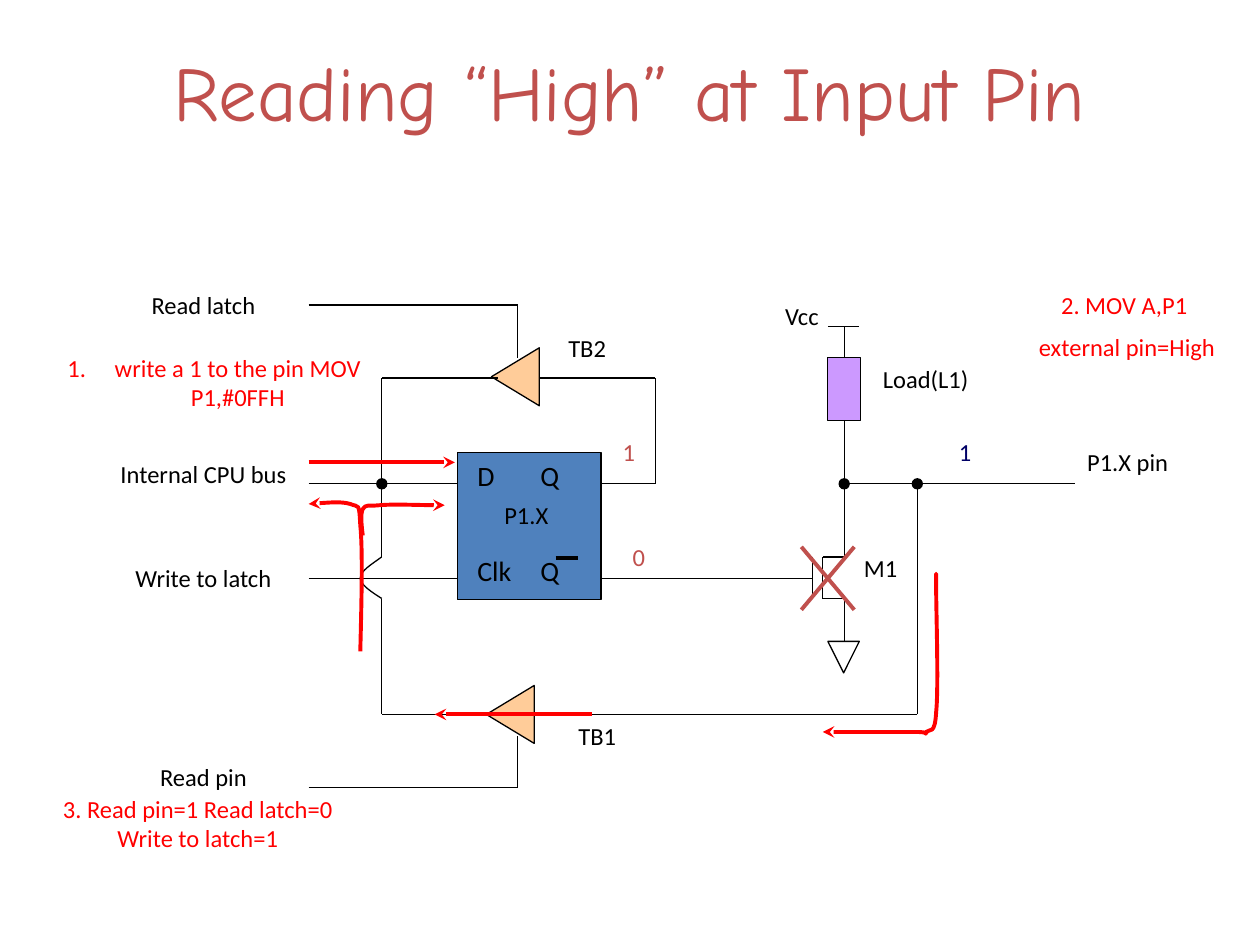
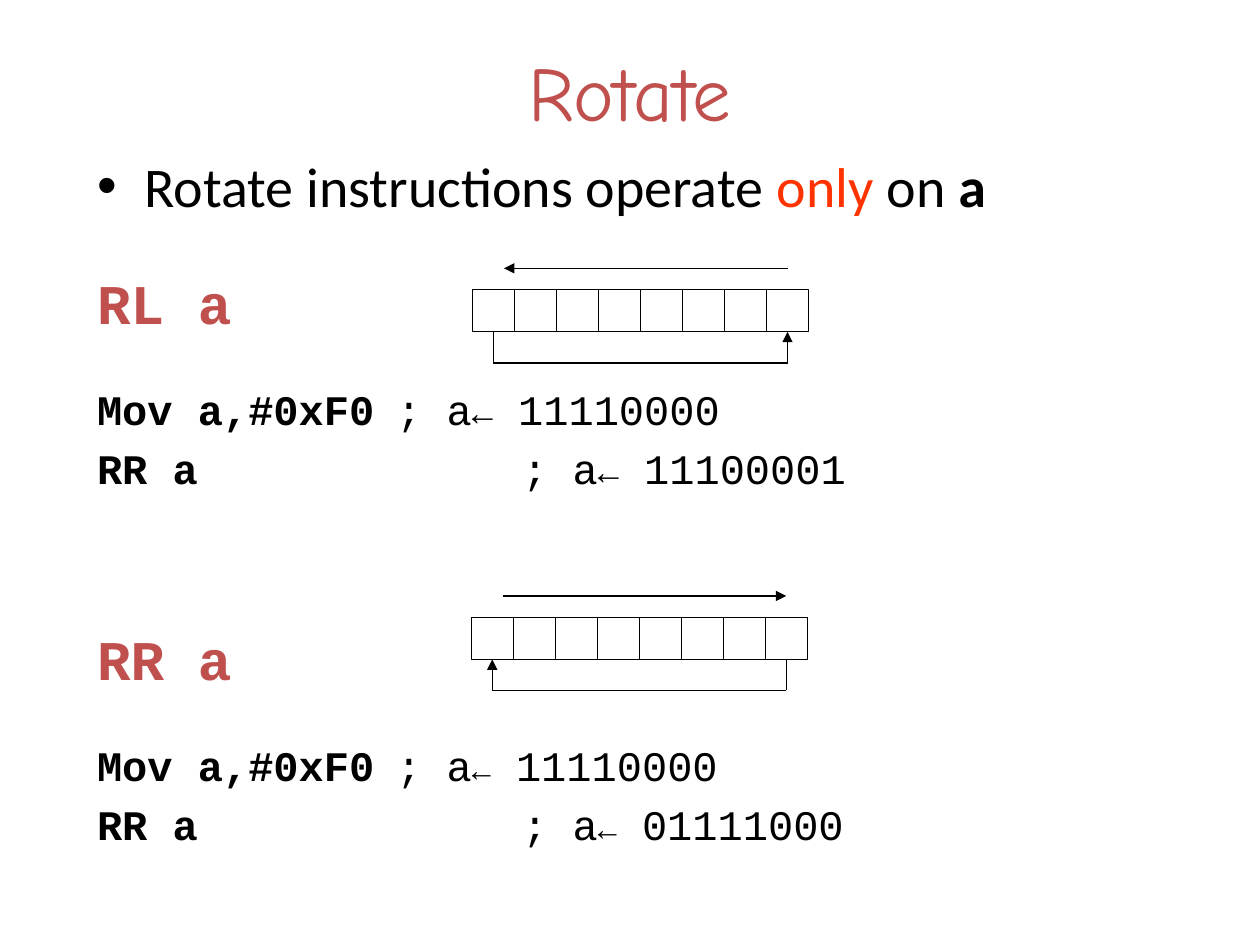
"""Builds two slides: a port-pin reading circuit and the rotate instructions."""
from lxml import etree
from pptx import Presentation
from pptx.dml.color import RGBColor
from pptx.enum import shapes, text
from pptx.oxml.ns import qn
from pptx.util import Inches, Pt

BLACK = RGBColor(0x00, 0x00, 0x00)
RED = RGBColor(0xFF, 0x00, 0x00)
BRICK = RGBColor(0xC0, 0x50, 0x4D)
BLUE = RGBColor(0x4F, 0x81, 0xBD)
NAVY = RGBColor(0x00, 0x00, 0x66)
PEACH = RGBColor(0xFF, 0xCC, 0x99)
VIOLET = RGBColor(0xCC, 0x99, 0xFF)
ORANGE = RGBColor(0xFF, 0x33, 0x00)

RECT = shapes.MSO_SHAPE.RECTANGLE
TRIANGLE = shapes.MSO_SHAPE.ISOSCELES_TRIANGLE
DOT = shapes.MSO_SHAPE.OVAL
CENTER = text.PP_ALIGN.CENTER
LEFT = text.PP_ALIGN.LEFT

TITLE = {"name": "Comic Neue", "size": Pt(44)}
LABEL = {"name": "Calibri", "size": Pt(14)}
LATCH = {"name": "Calibri", "size": Pt(16)}
LEAD = {"name": "Calibri", "size": Pt(32)}
HEAD = {"name": "Courier New", "size": Pt(32), "bold": True}
CODE = {"name": "Courier New", "size": Pt(24), "bold": False}


class Deck:
    """Holds the presentation, its style and the current slide."""

    def __init__(self):
        self.prs = Presentation()
        self.prs.slide_width, self.prs.slide_height = Inches(10), Inches(7.5)

    def slide(self, title, layout, height):
        self.s = self.prs.slides.add_slide(self.prs.slide_layouts[layout])
        sp = self.s.shapes.title
        self.place(sp, 0.5, 0.3, 9, height)
        tf = sp.text_frame
        tf.auto_size = text.MSO_AUTO_SIZE.NONE
        tf.vertical_anchor = text.MSO_ANCHOR.TOP
        tf.paragraphs[0].alignment = CENTER
        self.run(tf.paragraphs[0], title, TITLE, BRICK)

    def place(self, sp, *box):
        for name, value in zip(("left", "top", "width", "height"), box):
            setattr(sp, name, Inches(value))

    def run(self, p, words, style, color=BLACK, **extra):
        r = p.add_run()
        r.text = words
        for name, value in {**style, **extra}.items():
            setattr(r.font, name, value)
        r.font.color.rgb = color

    def layout(self, p, bullet=None, indent=0.0, tab=None):
        pr = p._p.get_or_add_pPr()
        if indent:
            pr.set("marL", str(Inches(indent)))
            pr.set("indent", str(-Inches(indent)))
        if tab:
            pr.set("defTabSz", str(Inches(tab)))
        if bullet:
            tag, attributes = bullet
            etree.SubElement(pr, qn(tag), **attributes)

    def label(self, lines, box, color=BLACK, style=LABEL, align=CENTER, gap=7.5, **layout):
        sp = self.s.shapes.add_textbox(*map(Inches, box))
        tf = sp.text_frame
        tf.word_wrap = True
        for i, words in enumerate(lines.split("\n")):
            p = tf.add_paragraph() if i else tf.paragraphs[0]
            p.alignment = align
            p.space_before = Pt(gap if i else 0)
            self.layout(p, **layout)
            self.run(p, words, style, color)

    def shape(self, kind, box, fill=None, rotation=0):
        sp = self.s.shapes.add_shape(kind, *map(Inches, box))
        sp.rotation = rotation
        self.outline(sp, fill)
        return sp

    def outline(self, sp, fill=None, color=BLACK, width=0.75, arrow=None):
        sp.shadow.inherit = False
        if fill is None:
            sp.fill.background()
        else:
            sp.fill.solid()
            sp.fill.fore_color.rgb = fill
        self.stroke(sp, color, width, arrow)

    def stroke(self, sp, color, width, arrow=None):
        sp.line.color.rgb = color
        sp.line.width = Pt(width)
        if arrow:
            etree.SubElement(sp.line._get_or_add_ln(), qn("a:tailEnd"), type=arrow)

    def line(self, start, end, color=BLACK, width=0.75, arrow=None, begin=None, finish=None):
        cx = self.s.shapes.add_connector(
            shapes.MSO_CONNECTOR.STRAIGHT, *map(Inches, (*start, *end)))
        self.stroke(cx, color, width, arrow)
        etree.SubElement(cx._element.spPr, qn("a:effectLst"))
        if begin:
            cx.begin_connect(*begin)
        if finish:
            cx.end_connect(*finish)

    def wire(self, *points):
        for start, end in zip(points, points[1:]):
            self.line(start, end)

    def curve(self, points, **stroke):
        emu = [(Inches(x), Inches(y)) for x, y in points]
        fb = self.s.shapes.build_freeform(*emu[0])
        fb.add_line_segments(emu[1:], close=False)
        sp = fb.convert_to_shape()
        segments = list(sp._element.iter(qn("a:lnTo")))
        for i in range(0, len(segments), 3):
            bezier = etree.Element(qn("a:cubicBezTo"))
            segments[i].addprevious(bezier)
            for segment in segments[i:i + 3]:
                bezier.append(segment[0])
                segment.getparent().remove(segment)
        self.outline(sp, **stroke)

    def body(self, box, paragraphs):
        sp = self.s.placeholders[1]
        self.place(sp, *box)
        tf = sp.text_frame
        tf.auto_size = text.MSO_AUTO_SIZE.NONE
        for i, (gap, bullet, runs) in enumerate(paragraphs):
            p = tf.add_paragraph() if i else tf.paragraphs[0]
            p.space_before = Pt(gap)
            self.layout(p, bullet, 0.375, 1)
            for words, style, color, extra in runs:
                self.run(p, words, style, color, **extra)

    def register(self, left, top, rotate_left):
        size = 1 / 3
        cells = [self.shape(RECT, (left + i * size, top, size, size)) for i in range(8)]
        first, last = left + size / 2, left + 7.5 * size
        base, low = top + size, top + 0.58
        ends = [(last, top - 0.17), (left + 0.25, top - 0.17)]
        source, target = (first, last) if rotate_left else (last, first)
        begin, finish = (cells[0], cells[7]) if rotate_left else (cells[7], cells[0])
        self.line(*(ends if rotate_left else ends[::-1]), arrow="triangle")
        self.line((source, base), (source, low), begin=(begin, 2))
        self.line((source, low), (target, low))
        self.line((target, low), (target, base), arrow="triangle", finish=(finish, 2))


def reading_slide(d):
    d.slide("Reading “High” at Input Pin", 5, 1.25)
    signal = {"color": RED, "width": 2.25, "arrow": "stealth"}

    d.shape(RECT, (3.63, 3.59, 1.14, 1.17), BLUE)
    d.label("D\tQ\nClk\tQ", (3.69, 3.59, 1.02, 1.17), style=LATCH, align=LEFT,
            gap=35, tab=0.5)
    d.line((4.41, 4.43), (4.59, 4.43), width=2)
    for box in ((3.86, 2.8, 0.46, 0.38), (3.82, 5.48, 0.46, 0.38)):
        d.shape(TRIANGLE, box, PEACH, 270)
    d.shape(TRIANGLE, (6.57, 5.09, 0.25, 0.25), rotation=180)
    load = d.shape(RECT, (6.57, 2.84, 0.26, 0.5), VIOLET)
    d.line((6.7, 2.59), (6.7, 2.84), finish=(load, 0))
    d.line((6.7, 3.34), (6.7, 4.42), begin=(load, 2))

    for points in (
            [(2.45, 3.84), (3.63, 3.84)],
            [(4.28, 3), (5.2, 3), (5.2, 3.84), (4.78, 3.84)],
            [(2.45, 4.59), (3.63, 4.59)],
            [(4.78, 4.59), (6.45, 4.59)],
            [(6.45, 4.42), (6.45, 4.75)],
            [(6.7, 4.42), (6.53, 4.42), (6.53, 4.75), (6.7, 4.75), (6.7, 5.09)],
            [(6.57, 2.59), (6.82, 2.59)],
            [(6.7, 3.84), (8.53, 3.84)],
            [(7.28, 3.84), (7.28, 5.67), (4.28, 5.67)],
            [(3.95, 3), (3.03, 3), (3.03, 4.42)],
            [(3.03, 4.75), (3.03, 5.67), (3.86, 5.67)],
            [(2.45, 2.42), (4.11, 2.42), (4.11, 2.84)],
            [(2.45, 6.25), (4.11, 6.25), (4.11, 5.84)]):
        d.wire(*points)
    d.curve([(3.03, 4.42), (2.95, 4.48), (2.86, 4.53), (2.86, 4.59),
             (2.86, 4.64), (2.95, 4.7), (3.03, 4.75)])
    for x in (2.99, 6.66, 7.24):
        d.shape(DOT, (x, 3.8, 0.08, 0.08), BLACK)

    for words, top in (("Read latch", 2.25), ("Internal CPU bus", 3.59),
                       ("Write to latch", 4.42), ("Read pin", 6)):
        d.label(words, (0.78, top, 1.67, 0.33))
    for words, left, top, width, color in (
            ("Vcc", 6.03, 2.34, 0.67, BLACK),
            (" Load(L1)", 6.7, 2.84, 1.25, BLACK),
            ("M1", 6.7, 4.34, 0.58, BLACK),
            ("P1.X pin", 8.45, 3.5, 1, BLACK),
            ("P1.X ", 3.7, 3.92, 1, BLACK),
            ("TB1", 4.28, 5.67, 0.92, BLACK),
            ("TB2", 4.2, 2.59, 0.92, BLACK),
            ("1", 4.78, 3.42, 0.42, BRICK),
            ("0", 4.86, 4.25, 0.42, BRICK),
            ("1", 7.45, 3.42, 0.42, NAVY)):
        d.label(words, (left, top, width, 0.33), color)

    d.label("write a 1 to the pin MOV P1,#0FFH", (0.2, 2.75, 3, 0.57), RED,
            bullet=("a:buAutoNum", {"type": "arabicPeriod"}), indent=0.375)
    d.label("2. MOV A,P1 \nexternal pin=High", (8.03, 2.25, 1.83, 0.68), RED)
    d.label("3. Read pin=1 Read latch=0 Write to latch=1", (0.36, 6.25, 2.42, 0.57), RED)

    d.line((4.7, 5.67), (3.45, 5.67), **signal)
    d.line((2.45, 3.67), (3.61, 3.67), **signal)
    d.curve([(7.43, 4.6), (7.43, 4.55), (7.43, 4.5), (7.43, 4.68),
             (7.43, 4.85), (7.45, 5.46), (7.43, 5.65),
             (7.42, 5.84), (7.38, 5.78), (7.35, 5.81),
             (7.32, 5.84), (7.41, 5.81), (7.27, 5.81),
             (7.13, 5.81), (6.83, 5.81), (6.53, 5.81)], **signal)
    d.curve([(2.86, 5.17), (2.87, 4.77), (2.88, 4.36), (2.86, 4.17),
             (2.85, 3.98), (2.85, 4.03), (2.78, 4),
             (2.71, 3.98), (2.58, 3.99), (2.45, 4)], **signal)
    d.curve([(2.88, 4.25), (2.87, 4.17), (2.86, 4.08), (2.88, 4.04),
             (2.91, 4), (2.91, 4.02), (3.01, 4.01),
             (3.12, 4), (3.33, 4.01), (3.53, 4.01)], **signal)
    for x1, x2 in ((6.36, 6.78), (6.78, 6.36)):
        d.line((x1, 4.34), (x2, 4.84), BRICK, 2.25)


def rotate_slide(d):
    d.slide("Rotate", 1, 0.85)
    dot, plain = ("a:buChar", {"char": "•"}), ("a:buNone", {})
    paragraphs = [(6, dot, [
        ("Rotate instructions operate ", LEAD, BLACK, {}), ("only", LEAD, ORANGE, {}),
        (" on ", LEAD, BLACK, {}), ("a", LEAD, BLACK, {"bold": True})])]
    for gap, heading, arrow_size, result in ((28.6, "RL a", 20, "11100001"),
                                             (75, "RR a", 18, "01111000")):
        paragraphs.append((gap, plain, [(heading, HEAD, BRICK, {})]))
        for space, code, tabs, value in ((27.2, "Mov a,#0xF0", "\t", "11110000"),
                                         (5.2, "RR a", "\t\t\t", result)):
            paragraphs.append((space, plain, [
                (code, CODE, BLACK, {"bold": True}), (tabs + "; a", CODE, BLACK, {}),
                ("←", CODE, BLACK, {"size": Pt(arrow_size)}),
                (" " + value, CODE, BLACK, {})]))
    d.body((0.67, 1.15, 8.5, 5.6), paragraphs)
    d.register(3.75, 2.3, True)
    d.register(3.74, 4.9, False)


def main():
    d = Deck()
    reading_slide(d)
    rotate_slide(d)
    d.prs.save("out.pptx")


if __name__ == "__main__":
    main()
